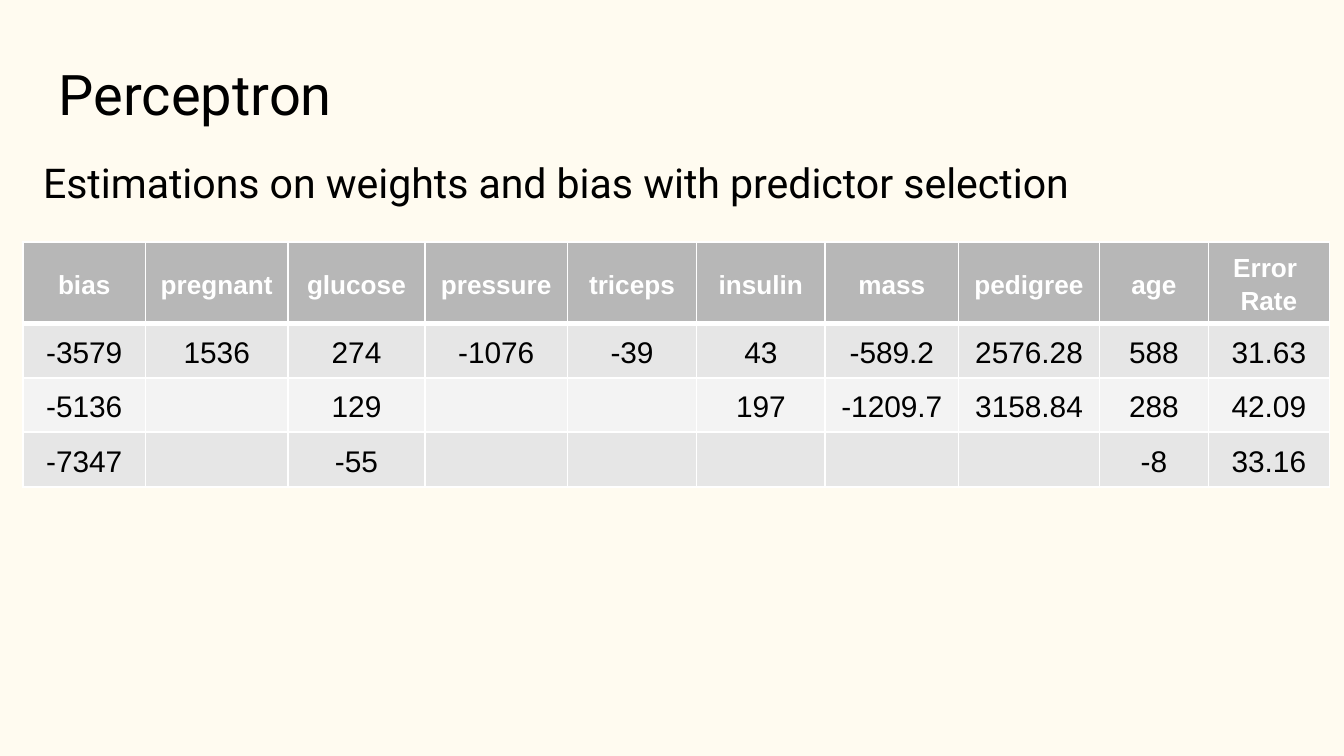
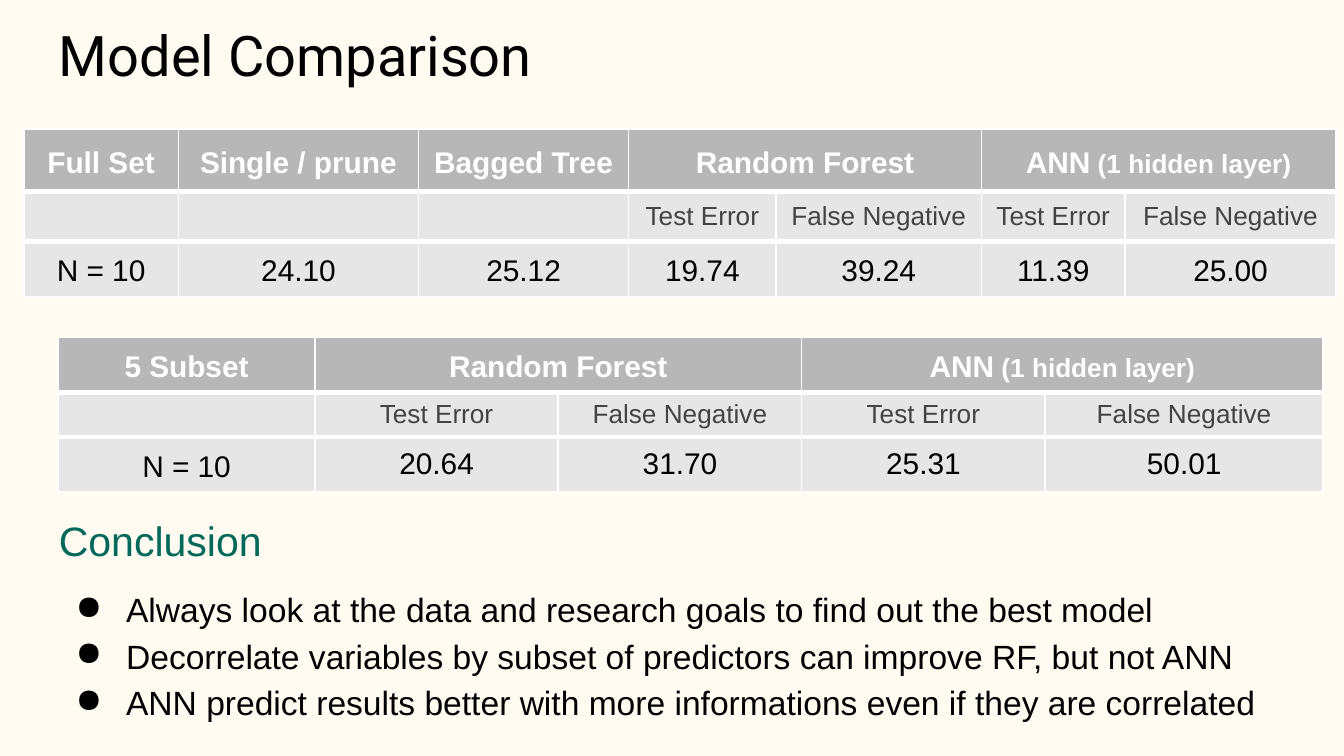
import collections

import pptx
import pptx.dml.color
import pptx.enum.text
import pptx.oxml.ns
import pptx.util
from lxml import etree

Pt = pptx.util.Pt
ALIGN = pptx.enum.text.PP_ALIGN
ANCHOR = pptx.enum.text.MSO_ANCHOR
qn = pptx.oxml.ns.qn

CREAM, BLACK, WHITE = "FFFBF0", "000000", "FFFFFF"
HEADER_GREY, BAND_DARK, BAND_LIGHT = "B7B7B7", "E6E6E6", "F3F3F3"
SUBHEADER_TEXT, TEAL = "434343", "00695C"
HEADING_FONT, BODY_FONT = "Roboto", "Arial"
SPACING = 1.15
NOTE_SIZE = 14

CellStyle = collections.namedtuple("CellStyle", "size color bold spacing")
SUBHEADER = CellStyle(14, SUBHEADER_TEXT, False, 1)
VALUE = CellStyle(16, BLACK, False, SPACING)


def color(hex_code):
    return pptx.dml.color.RGBColor.from_string(hex_code)


def format_run(run, font, size, hex_code, bold=False):
    run.font.name = font
    run.font.size = Pt(size)
    run.font.bold = bold
    run.font.color.rgb = color(hex_code)


def add_slide(deck):
    slide = deck.slides.add_slide(deck.slide_layouts[6])
    slide.background.fill.solid()
    slide.background.fill.fore_color.rgb = color(CREAM)
    return slide


def add_text(slide, left, top, width, height, lines, font, size, anchor=ANCHOR.TOP):
    """Add a text box in black and return its paragraphs."""
    frame = slide.shapes.add_textbox(Pt(left), Pt(top), Pt(width), Pt(height)).text_frame
    frame.word_wrap = True
    frame.vertical_anchor = anchor
    frame.margin_left = frame.margin_right = Pt(7.2)
    frame.margin_top = frame.margin_bottom = Pt(7.2)
    frame.text = "\n".join(lines)
    for paragraph in frame.paragraphs:
        format_run(paragraph.runs[0], font, size, BLACK)
    return frame.paragraphs


def add_title(slide, top, title):
    add_text(slide, 24.5, top, 566, 60, [title], HEADING_FONT, 30, ANCHOR.BOTTOM)


def add_bullet(paragraph):
    properties = paragraph._p.get_or_add_pPr()
    properties.set("marL", str(Pt(36)))
    properties.set("indent", str(Pt(-27)))
    tint = etree.SubElement(properties, qn("a:buClr"))
    etree.SubElement(tint, qn("a:srgbClr"), val=BLACK)
    etree.SubElement(properties, qn("a:buChar"), char="●")


def set_borders(cell, top, bottom):
    """Draw white borders: thin sides, given widths above and below."""
    properties = cell._tc.get_or_add_tcPr()
    for position, (side, width) in enumerate(zip("LRTB", (1, 1, top, bottom))):
        line = etree.Element(qn(f"a:ln{side}"), w=str(Pt(width)))
        fill = etree.SubElement(line, qn("a:solidFill"))
        etree.SubElement(fill, qn("a:srgbClr"), val=WHITE)
        properties.insert(position, line)


def fill_cell(cell, text, style, fill):
    cell.fill.solid()
    cell.fill.fore_color.rgb = color(fill)
    cell.vertical_anchor = ANCHOR.MIDDLE
    cell.text_frame.text = text
    for paragraph in cell.text_frame.paragraphs:
        paragraph.alignment = ALIGN.CENTER
        paragraph.line_spacing = style.spacing
        name, bracket, note = paragraph.text.partition(" (")
        if not name:
            etree.SubElement(paragraph._p, qn("a:endParaRPr"), sz=str(NOTE_SIZE * 100))
            continue
        paragraph.runs[0].text = name
        format_run(paragraph.runs[0], BODY_FONT, style.size, style.color, style.bold)
        if note:
            remark = paragraph.add_run()
            remark.text = bracket + note
            format_run(remark, BODY_FONT, NOTE_SIZE, style.color, style.bold)


def add_results(slide, left, top, widths, heights, rows, header_size=16,
                header_rows=1, value_spacing=SPACING):
    """Add a table; None in a row extends the cell before it."""
    table = slide.shapes.add_table(len(rows), len(widths), Pt(left), Pt(top),
                                   Pt(sum(widths)), Pt(sum(heights))).table
    table.first_row = table.horz_banding = False
    for column, width in zip(table.columns, widths):
        column.width = Pt(width)
    for row, height in zip(table.rows, heights):
        row.height = Pt(height)

    header = CellStyle(header_size, WHITE, True, SPACING)
    edges = [3 if 1 <= i <= header_rows else 1 for i in range(len(rows) + 1)]
    for i, texts in enumerate(rows):
        for j, text in enumerate(texts):
            cell = table.cell(i, j)
            if i == 0:
                style, fill = header, HEADER_GREY
            elif i < header_rows:
                style, fill = SUBHEADER, BAND_DARK
            else:
                style = VALUE if j == 0 else VALUE._replace(spacing=value_spacing)
                fill = BAND_LIGHT if (i - header_rows) % 2 else BAND_DARK
            fill_cell(cell, text or "", style, fill)
            set_borders(cell, edges[i], edges[i + 1])
            if text is None:
                table.cell(i, j - 1).merge(cell)


def build_perceptron(deck):
    slide = add_slide(deck)
    weights = [
        ["bias", "pregnant", "glucose", "pressure", "triceps",
         "insulin", "mass", "pedigree", "age", "Error \nRate"],
        ["-3579", "1536", "274", "-1076", "-39", "43", "-589.2", "2576.28", "588", "31.63"],
        ["-5136", "", "129", "", "", "197", "-1209.7", "3158.84", "288", "42.09"],
        ["-7347", "", "-55", "", "", "", "", "", "-8", "33.16"],
    ]
    add_results(slide, 12.4, 129.8,
                [65.5, 76.5, 73.3, 76.5, 69, 69, 71.4, 75.6, 58.3, 64.9],
                [43, 29.2, 29.2, 29.2], weights, header_size=14)
    add_text(slide, 16, 77, 627, 31,
             ["Estimations on weights and bias with predictor selection"], HEADING_FONT, 22)
    add_title(slide, 15, "Perceptron")


def build_comparison(deck):
    slide = add_slide(deck)
    models = ["Random Forest", None, "ANN (1 hidden layer)", None]
    measures = ["Test Error", "False Negative"] * 2
    full_set = [
        ["Full Set", "Single / prune", "Bagged Tree"] + models,
        ["", "", ""] + measures,
        ["N = 10", "24.10", "25.12", "19.74", "39.24", "11.39", "25.00"],
    ]
    subset = [
        ["5 Subset"] + models,
        [""] + measures,
        ["N = 10", "20.64", "31.70", "25.31", "50.01"],
    ]
    add_results(slide, 12.8, 69.2, [82.8, 128.6, 112.6, 79, 110, 77, 113],
                [33.5, 26.8, 26.8], full_set, header_rows=2)
    add_results(slide, 31.2, 180.8, [137.5, 130.4, 130.4, 130.4, 149],
                [28, 24, 28], subset, header_rows=2, value_spacing=1)

    conclusion, *findings = add_text(slide, 24.5, 265, 679, 132.5, [
        "Conclusion",
        "Always look at the data and research goals to find out the best model",
        "Decorrelate variables by subset of predictors can improve RF, but not ANN",
        "ANN predict results better with more informations even if they are correlated",
    ], BODY_FONT, 18)
    format_run(conclusion.runs[0], BODY_FONT, 22, TEAL)
    conclusion.line_spacing = SPACING
    for finding in findings:
        finding.line_spacing = SPACING
        finding.space_before = Pt(10 if finding is findings[0] else 0)
        add_bullet(finding)
    add_title(slide, -6, "Model Comparison")


def main():
    deck = pptx.Presentation()
    deck.slide_width, deck.slide_height = Pt(720), Pt(405)
    build_perceptron(deck)
    build_comparison(deck)
    deck.save("out.pptx")


if __name__ == "__main__":
    main()
